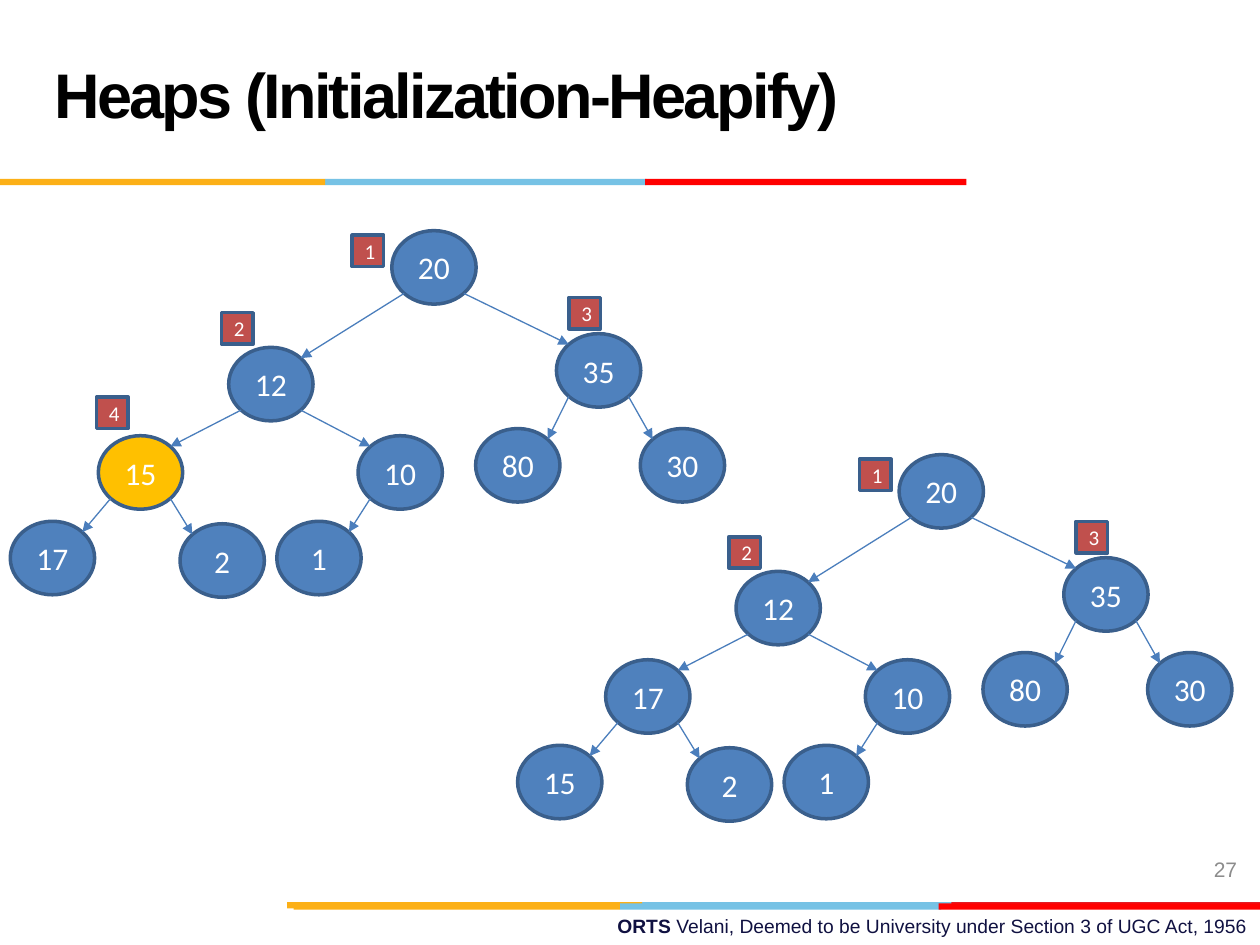
"""Build the heap initialization slide with its two heapify trees."""
from math import sqrt
from lxml import etree
from pptx import Presentation
from pptx.dml.color import RGBColor
from pptx.enum.shapes import MSO_CONNECTOR, MSO_SHAPE
from pptx.enum.text import MSO_ANCHOR, PP_ALIGN
from pptx.oxml.ns import qn
from pptx.util import Pt

RECT, DISC = MSO_SHAPE.RECTANGLE, MSO_SHAPE.FLOWCHART_CONNECTOR
STRAIGHT = MSO_CONNECTOR.STRAIGHT
MIDDLE, TOP = MSO_ANCHOR.MIDDLE, MSO_ANCHOR.TOP
LEFT, CENTER, RIGHT = PP_ALIGN.LEFT, PP_ALIGN.CENTER, PP_ALIGN.RIGHT

BLACK = RGBColor(0x00, 0x00, 0x00)
WHITE = RGBColor(0xFF, 0xFF, 0xFF)
GREY = RGBColor(0x8C, 0x8C, 0x8C)
NAVY = RGBColor(0x10, 0x11, 0x41)
BLUE = RGBColor(0x4F, 0x81, 0xBD)
EDGE = RGBColor(0x3A, 0x5F, 0x8C)
ARROW = RGBColor(0x4B, 0x7E, 0xBC)
GOLD = RGBColor(0xFF, 0xC0, 0x00)
BRICK = RGBColor(0xC0, 0x50, 0x4D)
SKY = RGBColor(0x76, 0xC2, 0xE5)
AMBER = RGBColor(0xFC, 0xB0, 0x17)
CRIMSON = RGBColor(0xE3, 0x1C, 0x24)
RED = RGBColor(0xFF, 0x00, 0x00)

BARS = [
    (515.5, [(364.3, 183.6, SKY), (543.6, 176.4, CRIMSON), (164, 203, AMBER)]),
    (516.2, [(354.2, 183.6, SKY), (167.8, 186.4, AMBER), (536.4, 183.6, RED)]),
    (102.2, [(185.8, 183.6, SKY), (0, 185.8, AMBER), (368.6, 183.6, RED)]),
]
BAR_H = 3.6

TITLE = [("Heaps (Initialization-Heapify)", True)]
PAGE = [("27", False)]
FOOT = [("ORTS ", True),
        ("Velani, Deemed to be University under Section 3 of UGC Act, 1956", False)]

SPOTS = [(223.9, 131.8), (130.7, 198.5), (318, 190.7), (56.2, 249), (204.6, 249),
         (271.8, 244.9), (365.9, 244.9), (5.9, 297.9), (102.9, 299.3), (158.2, 297.9)]
TAGS = [(201.3, 134.4), (126.6, 178.7), (325.1, 169.9), (55.2, 226.9)]
NODE_W, NODE_H, TAG = 48.2, 42, 18

TREES = [
    {"at": (0, 0), "keys": [20, 12, 35, 15, 10, 80, 30, 17, 2, 1], "tags": 4, "hot": 3},
    {"at": (289.9, 128), "keys": [20, 12, 35, 17, 10, 80, 30, 15, 2, 1], "tags": 3,
     "hot": None},
]


def write(frame, runs, size, color, font, align, anchor=MIDDLE):
    frame.word_wrap = True
    frame.vertical_anchor = anchor
    para = frame.paragraphs[0]
    para.alignment = align
    for text, bold in runs:
        run = para.add_run()
        run.text = text
        run.font.size, run.font.name, run.font.bold = Pt(size), font, bold
        run.font.color.rgb = color
    return para


def add_text(slide, box, *style):
    frame = slide.shapes.add_textbox(*map(Pt, box)).text_frame
    return write(frame, *style)


def add_block(slide, kind, box, fill):
    shape = slide.shapes.add_shape(kind, *map(Pt, box))
    shape.shadow.inherit = False
    shape.fill.solid()
    shape.fill.fore_color.rgb = fill
    shape.line.fill.background()
    return shape


def add_label(slide, kind, box, fill, text, size):
    shape = add_block(slide, kind, box, fill)
    shape.line.color.rgb = EDGE
    shape.line.width = Pt(2)
    write(shape.text_frame, [(str(text), False)], size, WHITE, "Calibri", CENTER)


def add_arrow(slide, start, end):
    link = slide.shapes.add_connector(STRAIGHT, *map(Pt, start + end))
    link.line.color.rgb = ARROW
    link.line.width = Pt(0.75)
    props = link._element.spPr
    etree.SubElement(props.find(qn("a:ln")), qn("a:tailEnd"), type="triangle")
    etree.SubElement(props, qn("a:effectLst"))


def rim(spot, side, down):
    x, y = spot
    return (x + NODE_W / 2 * (1 + side / sqrt(2)),
            y + NODE_H / 2 * (1 + down / sqrt(2)))


def add_tree(slide, tree):
    dx, dy = tree["at"]
    spots = [(x + dx, y + dy) for x, y in SPOTS]
    for i, (spot, key) in enumerate(zip(spots, tree["keys"])):
        fill = GOLD if i == tree["hot"] else BLUE
        add_label(slide, DISC, (*spot, NODE_W, NODE_H), fill, key, 18)
        if i:
            side = -1 if i % 2 else 1
            add_arrow(slide, rim(spots[(i - 1) // 2], side, 1), rim(spot, -side, -1))
    for i, (x, y) in enumerate(TAGS[:tree["tags"]], 1):
        add_label(slide, RECT, (x + dx, y + dy, TAG, TAG), BRICK, i, 12)


def main():
    deck = Presentation()
    deck.slide_width, deck.slide_height = Pt(720), Pt(540)
    slide = deck.slides.add_slide(deck.slide_layouts[6])
    add_text(slide, (257.8, 519.1, 462.2, 20.6), FOOT, 11, NAVY, "Arial", RIGHT, TOP)
    for y, parts in BARS:
        for x, width, fill in parts:
            add_block(slide, RECT, (x, y, width, BAR_H), fill)
    title = add_text(slide, (24, 12, 498, 90), TITLE, 36, BLACK, "Arial", LEFT)
    title.line_spacing = Pt(36)
    title.runs[0]._r.get_or_add_rPr().set("spc", "-150")
    add_text(slide, (546, 482.4, 168, 28.8), PAGE, 12, GREY, "Arial", RIGHT)
    for tree in TREES:
        add_tree(slide, tree)
    deck.save("out.pptx")


if __name__ == "__main__":
    main()
